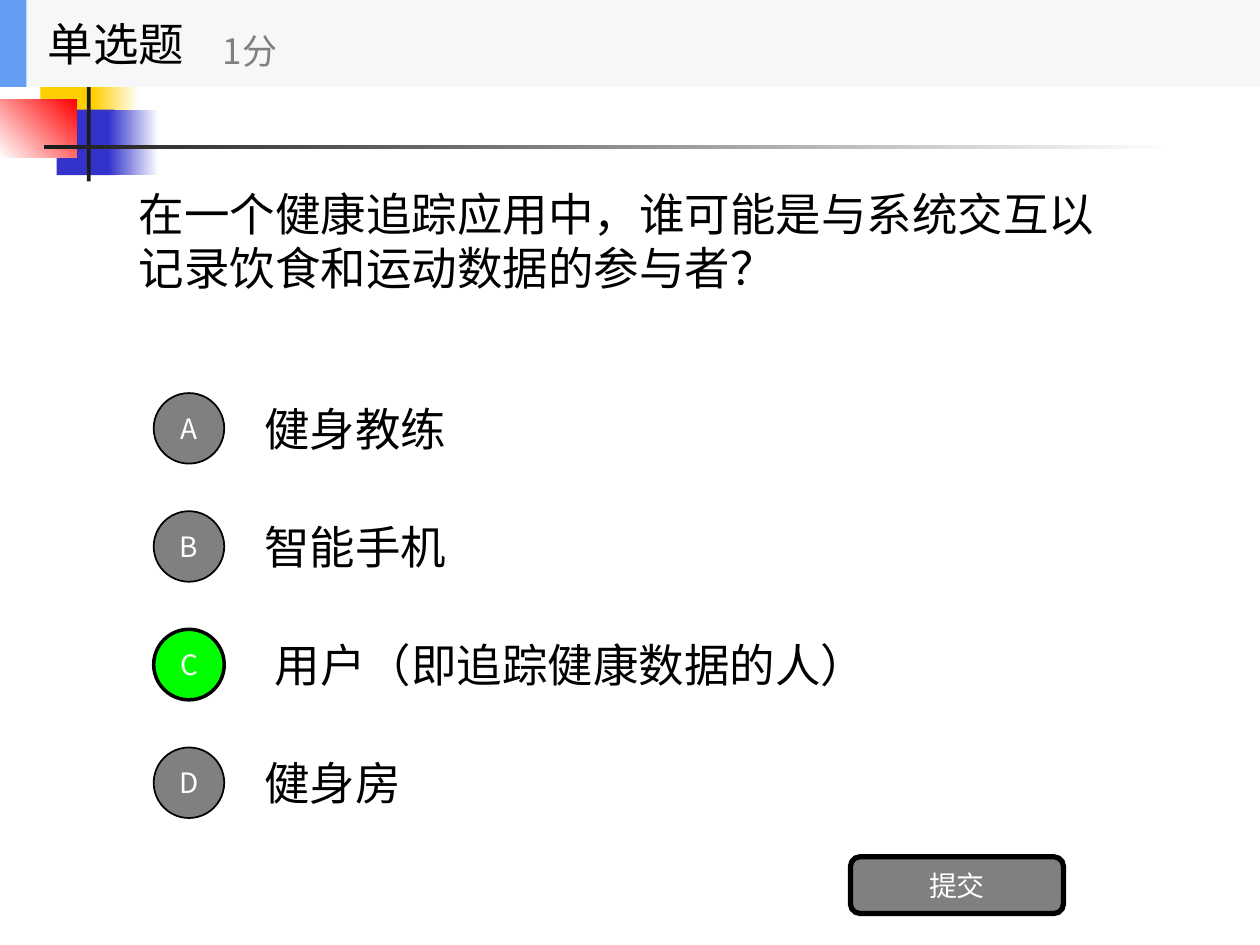
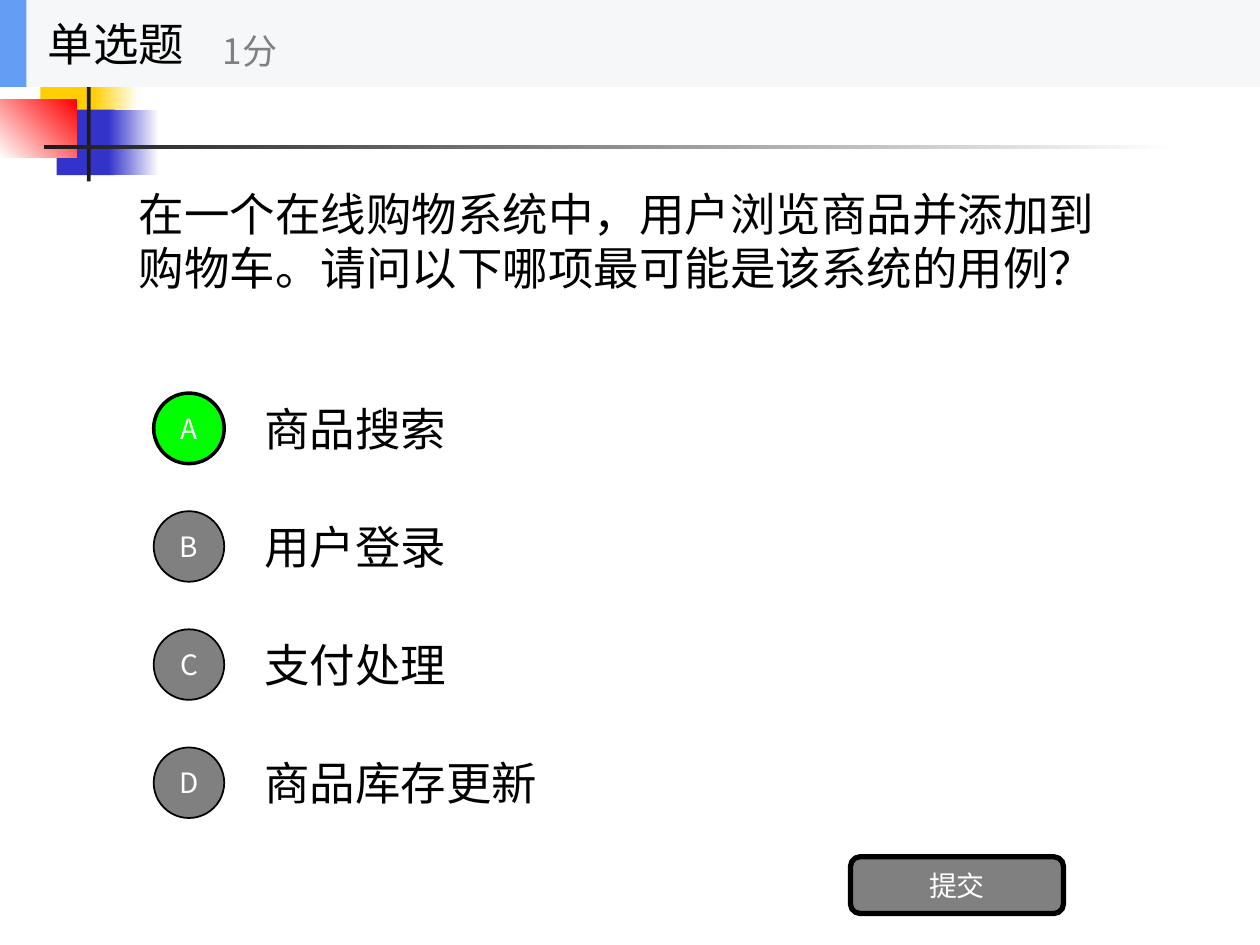
from dataclasses import dataclass
from typing import NamedTuple

from lxml import etree
from pptx import Presentation
from pptx import util as u
from pptx.dml.color import RGBColor
from pptx.enum import shapes, text
from pptx.oxml.ns import qn

WIDTH, HEIGHT = 10, 7.5
HEADER_HEIGHT = 0.69
OPTION_PITCH = HEIGHT / 8
FIRST_OPTION_CENTRE = 3.4
OPTION_HEIGHT = 0.7
BADGE_SIZE = 0.56
BADGE_CENTRE_X = WIDTH * 0.15


@dataclass(frozen=True)
class Theme:
    font: str = "Noto Sans CJK SC"
    ink: str = "000000"
    paper: str = "FFFFFF"
    muted: str = "808080"
    correct: str = "00FF00"
    header: str = "F6F7F8"
    accent: str = "639EF4"
    yellow: str = "FFCF01"
    blue: str = "3333CC"
    red: str = "FF0000"
    rule: str = "1C1C1C"
    body_size: int = 26
    score_size: int = 20
    label_size: int = 16
    question_leading: int = 31


THEME = Theme()


class Box(NamedTuple):
    left: float
    top: float
    width: float
    height: float

    def emu(self) -> list[int]:
        return [u.Inches(length) for length in self]


class Block(NamedTuple):
    """A plain rectangle, fading to a second colour when one is given."""
    box: Box
    color: str
    fade_to: str | None = None
    angle: int = 0


class Question(NamedTuple):
    wording: str
    options: tuple[str, ...]
    answer: str


MOTIF = (
    Block(Box(0.32, 0.4, 0.48, 0.52), THEME.yellow),
    Block(Box(0.74, 0.4, 0.36, 0.52), THEME.yellow, THEME.paper),
    Block(Box(0.45, 0.87, 0.46, 0.52), THEME.blue),
    Block(Box(0.86, 0.87, 0.4, 0.52), THEME.blue, THEME.paper),
    Block(Box(0, 0.79, 0.61, 0.46), THEME.paper, THEME.red, 45),
    Block(Box(0.69, 0.29, 0.03, 1.15), THEME.rule),
    Block(Box(0.35, 1.15, WIDTH * 0.9, 0.03), THEME.rule, THEME.paper),
)
HEADER = (
    Block(Box(0, 0, WIDTH, HEADER_HEIGHT), THEME.header),
    Block(Box(0, 0, 0.21, HEADER_HEIGHT), THEME.accent),
)
QUESTIONS = (
    Question(
        "在一个健康追踪应用中，谁可能是与系统交互以记录饮食和运动数据的参与者？",
        ("健身教练", "智能手机", " 用户（即追踪健康数据的人）", "健身房"),
        "C",
    ),
    Question(
        "在一个在线购物系统中，用户浏览商品并添加到购物车。请问以下哪项最可能是该系统的用例？",
        ("商品搜索", "用户登录", "支付处理", "商品库存更新"),
        "A",
    ),
)


def write(shape, wording: str, size: int, color: str,
          align=text.PP_ALIGN.LEFT) -> None:
    frame = shape.text_frame
    frame.text = wording
    frame.word_wrap = True
    frame.auto_size = text.MSO_AUTO_SIZE.NONE
    frame.vertical_anchor = text.MSO_ANCHOR.MIDDLE
    paragraph = frame.paragraphs[0]
    paragraph.alignment = align
    for run in paragraph.runs:
        run.font.name = THEME.font
        run.font.size = u.Pt(size)
        run.font.color.rgb = RGBColor.from_string(color)
        east_asian = etree.SubElement(run.font._element, qn("a:ea"))
        east_asian.set("typeface", THEME.font)


def add_text(slide, box: Box, wording: str, size: int, color: str) -> None:
    write(slide.shapes.add_textbox(*box.emu()), wording, size, color)


def add_block(slide, block: Block) -> None:
    shape = slide.shapes.add_shape(shapes.MSO_SHAPE.RECTANGLE, *block.box.emu())
    shape.shadow.inherit = False
    shape.line.fill.background()
    if block.fade_to is None:
        shape.fill.solid()
        shape.fill.fore_color.rgb = RGBColor.from_string(block.color)
        return
    shape.fill.gradient()
    shape.fill.gradient_angle = block.angle
    for stop, color in zip(shape.fill.gradient_stops, (block.color, block.fade_to)):
        stop.color.rgb = RGBColor.from_string(color)


def add_button(slide, kind: shapes.MSO_SHAPE, box: Box, label: str,
               fill: str, outline: float) -> None:
    button = slide.shapes.add_shape(kind, *box.emu())
    button.shadow.inherit = False
    button.fill.solid()
    button.fill.fore_color.rgb = RGBColor.from_string(fill)
    button.line.color.rgb = RGBColor.from_string(THEME.ink)
    button.line.width = u.Pt(outline)
    frame = button.text_frame
    frame.margin_left = frame.margin_right = 0
    frame.margin_top = frame.margin_bottom = 0
    write(button, label, THEME.label_size, THEME.paper, text.PP_ALIGN.CENTER)


def add_option(slide, row: int, letter: str, wording: str, is_answer: bool) -> None:
    centre = FIRST_OPTION_CENTRE + row * OPTION_PITCH
    add_text(slide,
             Box(WIDTH * 0.2, centre - OPTION_HEIGHT / 2, WIDTH * 0.7, OPTION_HEIGHT),
             wording, THEME.body_size, THEME.ink)
    add_button(slide, shapes.MSO_SHAPE.OVAL,
               Box(BADGE_CENTRE_X - BADGE_SIZE / 2, centre - BADGE_SIZE / 2,
                   BADGE_SIZE, BADGE_SIZE),
               letter,
               THEME.correct if is_answer else THEME.muted,
               2 if is_answer else 1)


def place_question(slide, wording: str) -> None:
    title = slide.shapes.title
    title.left, title.top, title.width, title.height = Box(
        WIDTH * 0.1, 0.74, WIDTH * 0.8, 2.34).emu()
    write(title, wording, THEME.body_size, THEME.ink)
    title.text_frame.paragraphs[0].line_spacing = u.Pt(THEME.question_leading)


def add_header(slide) -> None:
    for block in HEADER:
        add_block(slide, block)
    add_text(slide, Box(0.28, 0, 2.08, HEADER_HEIGHT), "单选题",
             THEME.body_size, THEME.ink)
    add_text(slide, Box(1.67, 0.12, 2.5, 0.56), "1分",
             THEME.score_size, THEME.muted)


def add_question_slide(deck, question: Question) -> None:
    slide = deck.slides.add_slide(deck.slide_layouts.get_by_name("Title Only"))
    for block in MOTIF:
        add_block(slide, block)
    place_question(slide, question.wording)
    for row, (letter, option) in enumerate(zip("ABCD", question.options)):
        add_option(slide, row, letter, option, letter == question.answer)
    add_button(slide, shapes.MSO_SHAPE.ROUNDED_RECTANGLE,
               Box(6.75, 6.8, 1.69, 0.45), "提交", THEME.muted, 3)
    add_header(slide)


def main() -> None:
    deck = Presentation()
    deck.slide_width, deck.slide_height = u.Inches(WIDTH), u.Inches(HEIGHT)
    for question in QUESTIONS:
        add_question_slide(deck, question)
    deck.save("out.pptx")


if __name__ == "__main__":
    main()
